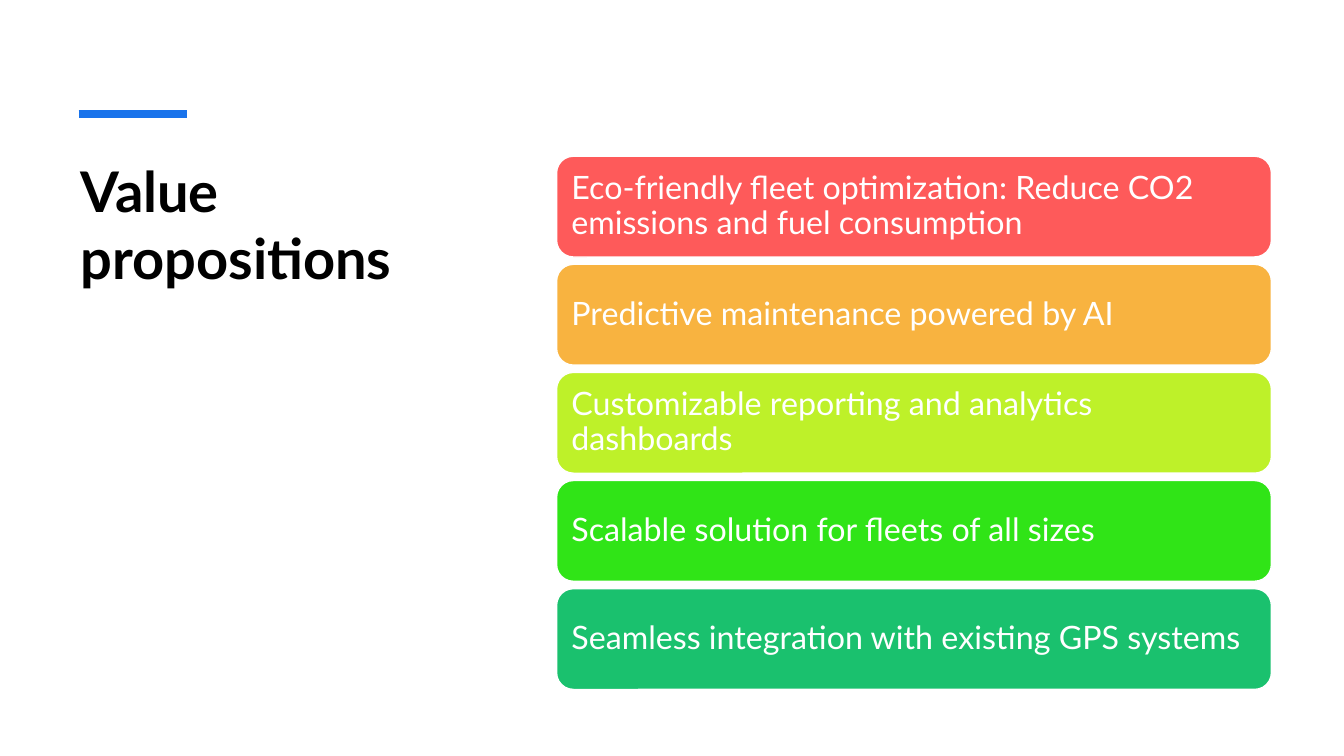
"""Build the value propositions slide with a title and a stack of coloured bars."""
import pptx
import pptx.dml.color
import pptx.enum.shapes
import pptx.enum.text
import pptx.oxml.ns
import pptx.util
from lxml import etree

Inches = pptx.util.Inches
Pt = pptx.util.Pt

TITLE = "Value propositions"
PROPOSITIONS = [
    ("Eco-friendly fleet optimization: Reduce CO2 emissions and fuel consumption", "FE5A5A"),
    ("Predictive maintenance powered by AI", "F8B340"),
    ("Customizable reporting and analytics dashboards", "BEF129"),
    ("Scalable solution for fleets of all sizes", "30E417"),
    ("Seamless integration with existing GPS systems", "1AC16E"),
]
FONT = "Lato"
STACK_LEFT, FIRST_TOP, LAST_TOP = 5.52, 1.55, 5.84
BAR_WIDTH, BAR_HEIGHT = 7.09, 1
PITCH = (LAST_TOP - FIRST_TOP) / (len(PROPOSITIONS) - 1)


def paint(color_format, hex_color):
    color_format.rgb = pptx.dml.color.RGBColor.from_string(hex_color)


def write(paragraph, text, size, hex_color, bold=False):
    paragraph.alignment = pptx.enum.text.PP_ALIGN.LEFT
    run = paragraph.add_run()
    run.text = text
    run.font.name = FONT
    run.font.size = Pt(size)
    run.font.bold = bold
    paint(run.font.color, hex_color)


def add_title(slide):
    title = slide.shapes.add_textbox(Inches(0.7), Inches(1.5), Inches(4.02), Inches(4.29))
    title.text_frame.word_wrap = True
    write(title.text_frame.paragraphs[0], TITLE, 40, "000000", bold=True)


def add_accent(slide):
    accent = slide.shapes.add_connector(
        pptx.enum.shapes.MSO_CONNECTOR.STRAIGHT,
        Inches(0.78), Inches(1.13), Inches(1.85), Inches(1.13))
    paint(accent.line.color, "1973EB")
    accent.line.width = Pt(6)
    etree.SubElement(accent.element.spPr, pptx.oxml.ns.qn("a:effectLst"))


def add_proposition(slide, top, text, fill_color):
    bar = slide.shapes.add_shape(
        pptx.enum.shapes.MSO_SHAPE.ROUNDED_RECTANGLE,
        Inches(STACK_LEFT), Inches(top), Inches(BAR_WIDTH), Inches(BAR_HEIGHT))
    bar.shadow.inherit = False
    bar.fill.solid()
    paint(bar.fill.fore_color, fill_color)
    paint(bar.line.color, "FFFFFF")
    bar.line.width = Pt(1)
    frame = bar.text_frame
    frame.word_wrap = True
    frame.vertical_anchor = pptx.enum.text.MSO_ANCHOR.MIDDLE
    frame.margin_left = frame.margin_right = Inches(0.1)
    frame.margin_top = frame.margin_bottom = Inches(0.1)
    frame.paragraphs[0].line_spacing = 0.9
    write(frame.paragraphs[0], text, 23, "FFFFFF")


def main():
    deck = pptx.Presentation()
    deck.slide_width, deck.slide_height = Inches(13.33), Inches(7.5)
    slide = deck.slides.add_slide(deck.slide_layouts[6])
    add_title(slide)
    add_accent(slide)
    for row, (text, fill_color) in enumerate(PROPOSITIONS):
        add_proposition(slide, FIRST_TOP + row * PITCH, text, fill_color)
    deck.save("out.pptx")


if __name__ == "__main__":
    main()
